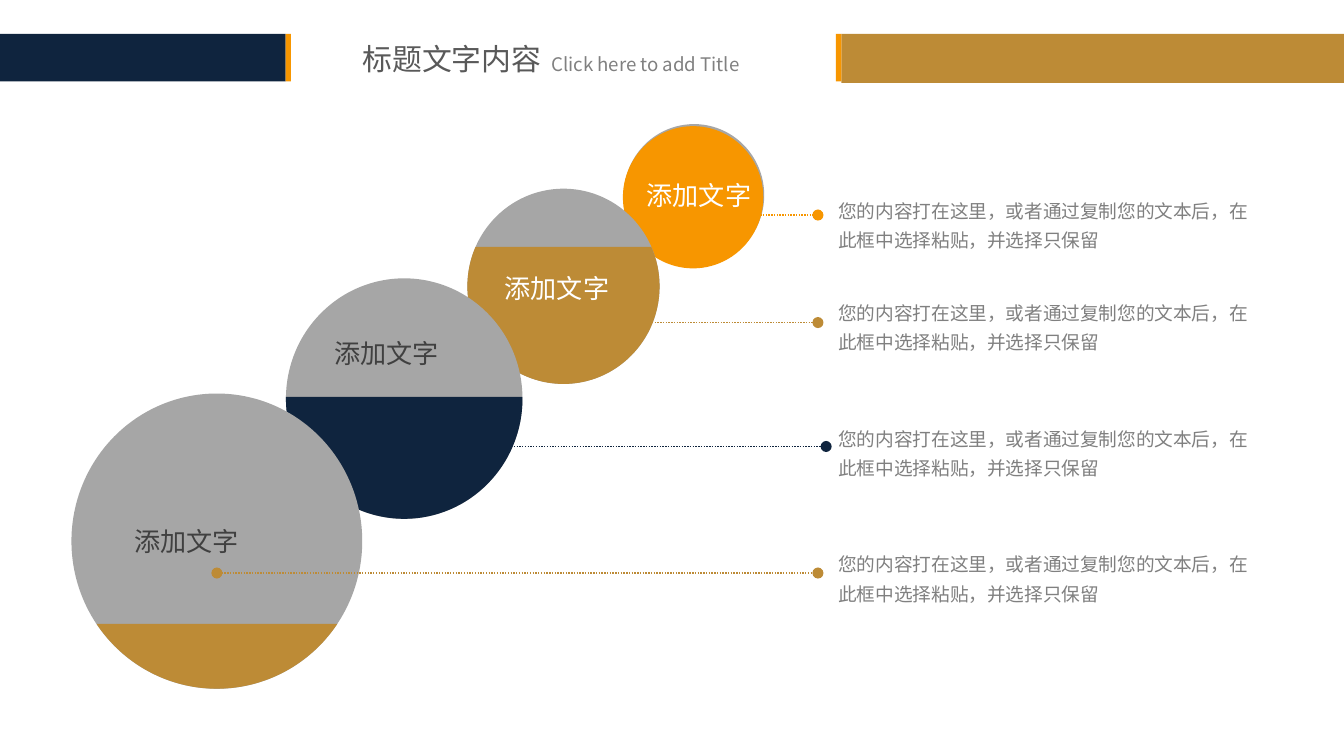
from dataclasses import dataclass
from math import asin, cos, pi, sin, tan

from lxml import etree
from pptx import Presentation
from pptx import util as u
from pptx.dml.color import RGBColor
from pptx.enum import dml, shapes, text
from pptx.oxml import ns

FONT = "Noto Sans CJK SC"
NAVY, GOLD, ORANGE = "0F243E", "BD8B36", "F79600"
SILVER, GREY, DARK, WHITE = "A6A6A6", "808080", "404040", "FFFFFF"
LABEL = "添加文字"
BODY = "您的内容打在这里，或者通过复制您的文本后，在此框中选择粘贴，并选择只保留"


@dataclass
class Box:
    left: float
    top: float
    width: float
    height: float

    def lengths(self) -> tuple:
        return tuple(u.Pt(n) for n in (self.left, self.top, self.width, self.height))


@dataclass
class Stage:
    circle: Box
    level: float | None
    color: str
    label_left: float
    label_top: float
    label_color: str
    line_start: float
    line_end: float
    line_y: float
    body_top: float


STAGES = [
    Stage(Box(334.2, 66.5, 75.2, 76.2), None, ORANGE, 340.7, 93.2, WHITE, 372.24, 438.2, 115.2, 100.6),
    Stage(Box(250.4, 101.1, 102.96, 104.6), 132.3, GOLD, 264.6, 142.9, WHITE, 300.96, 438.2, 172.8, 155.2),
    Stage(Box(153.2, 149.1, 126.72, 128.88), 212.6, NAVY, 173.3, 177.7, DARK, 218.16, 442.6, 239.2, 222.7),
    Stage(Box(38.3, 210.8, 155.8, 158.2), 334.3, GOLD, 66.24, 278.3, DARK, 116.2, 438.2, 307.0, 289.9),
]


def rgb(color: str) -> RGBColor:
    return RGBColor.from_string(color)


def paint(shape, color: str) -> None:
    shape.shadow.inherit = False
    shape.fill.solid()
    shape.fill.fore_color.rgb = rgb(color)
    shape.line.fill.background()


def add_shape(slide, kind, box: Box, color: str) -> None:
    paint(slide.shapes.add_shape(kind, *box.lengths()), color)


def add_filled_part(slide, circle: Box, level: float, color: str) -> None:
    radius_x, radius_y = circle.width / 2, circle.height / 2
    center_x, center_y = circle.left + radius_x, circle.top + radius_y

    def place(x: float, y: float) -> tuple:
        return u.Pt(center_x + radius_x * x), u.Pt(center_y + radius_y * y)

    start = asin((level - center_y) / radius_y)
    quarters = [angle for angle in (0, pi / 2, pi) if start < angle < pi - start]
    angles = [start, *quarters, pi - start]
    points = [place(cos(angle), sin(angle)) for angle in angles]
    builder = slide.shapes.build_freeform(*points[-1])
    builder.add_line_segments(points, close=True)
    shape = builder.convert_to_shape()
    paint(shape, color)

    arc_lines = shape._element.findall(".//" + ns.qn("a:lnTo"))[1:]
    for line, first, last in zip(arc_lines, angles, angles[1:]):
        reach = 4 / 3 * tan((last - first) / 4)
        controls = (
            place(cos(first) - reach * sin(first), sin(first) + reach * cos(first)),
            place(cos(last) + reach * sin(last), sin(last) - reach * cos(last)),
        )
        line.tag = ns.qn("a:cubicBezTo")
        for index, (x, y) in enumerate(controls):
            point = etree.Element(ns.qn("a:pt"), x=str(x - shape.left), y=str(y - shape.top))
            line.insert(index, point)


def add_text(slide, box: Box, words: str, size: float, color: str, wrap: bool = False,
             inset_x: float = 5.76, inset_y: float = 2.88, spacing: float | None = None,
             anchor=text.MSO_ANCHOR.TOP) -> None:
    frame = slide.shapes.add_textbox(*box.lengths()).text_frame
    frame.word_wrap = wrap
    frame.auto_size = text.MSO_AUTO_SIZE.SHAPE_TO_FIT_TEXT
    frame.vertical_anchor = anchor
    frame.margin_left = frame.margin_right = u.Pt(inset_x)
    frame.margin_top = frame.margin_bottom = u.Pt(inset_y)
    paragraph = frame.paragraphs[0]
    if spacing:
        paragraph.line_spacing = spacing
    run = paragraph.add_run()
    run.text = words
    run.font.size = u.Pt(size)
    run.font.name = FONT
    run.font.color.rgb = rgb(color)
    etree.SubElement(run.font._element, ns.qn("a:ea")).set("typeface", FONT)


def add_dotted_line(slide, stage: Stage) -> None:
    connector = slide.shapes.add_connector(
        shapes.MSO_CONNECTOR.STRAIGHT, u.Pt(stage.line_start), u.Pt(stage.line_y),
        u.Pt(stage.line_end), u.Pt(stage.line_y))
    connector.line.color.rgb = rgb(stage.color)
    connector.line.width = u.Pt(0.75)
    connector.line.dash_style = dml.MSO_LINE.ROUND_DOT
    outline = connector.line._get_or_add_ln()
    for tag in ("a:headEnd", "a:tailEnd"):
        etree.SubElement(outline, ns.qn(tag)).set("type", "oval")
    etree.SubElement(connector._element.spPr, ns.qn("a:effectLst"))


def add_header(slide) -> None:
    add_text(slide, Box(187.2, 18, 119.52, 26.64), "标题文字内容", 16, "595959",
             inset_x=7.2, inset_y=3.6)
    add_text(slide, Box(288.4, 24.8, 115.2, 19.44), "Click here to add Title", 10, GREY,
             inset_x=7.2, inset_y=3.6)
    bars = [
        (Box(450.72, 18.2, 269.28, 26.2), GOLD),
        (Box(0, 18.2, 153, 25.5), NAVY),
        (Box(447.84, 18.2, 2.88, 25.5), ORANGE),
        (Box(153, 18.2, 2.88, 25.5), ORANGE),
    ]
    for box, color in bars:
        add_shape(slide, shapes.MSO_SHAPE.RECTANGLE, box, color)


def add_circle(slide, stage: Stage) -> None:
    circle = stage.circle
    add_shape(slide, shapes.MSO_SHAPE.OVAL, circle, SILVER)
    if stage.level is None:
        front = Box(circle.left - 0.5, circle.top + 1.1, circle.width, circle.height)
        add_shape(slide, shapes.MSO_SHAPE.OVAL, front, stage.color)
    else:
        add_filled_part(slide, circle, stage.level, stage.color)


def add_label(slide, stage: Stage) -> None:
    add_text(slide, Box(stage.label_left, stage.label_top, 67.68, 23.04), LABEL, 14,
             stage.label_color, anchor=text.MSO_ANCHOR.MIDDLE)


def add_body(slide, stage: Stage) -> None:
    add_text(slide, Box(443.4, stage.body_top, 238.32, 37.44), BODY, 10, GREY,
             wrap=True, spacing=1.3)


def main() -> None:
    presentation = Presentation()
    presentation.slide_width, presentation.slide_height = u.Pt(720), u.Pt(405)
    slide = presentation.slides.add_slide(presentation.slide_layouts[6])
    add_header(slide)
    for stage in STAGES:
        add_circle(slide, stage)
    for stage in reversed(STAGES[1:]):
        add_label(slide, stage)
    for stage in STAGES:
        add_dotted_line(slide, stage)
    for stage in reversed(STAGES):
        add_body(slide, stage)
    add_label(slide, STAGES[0])
    presentation.save("out.pptx")


if __name__ == "__main__":
    main()
